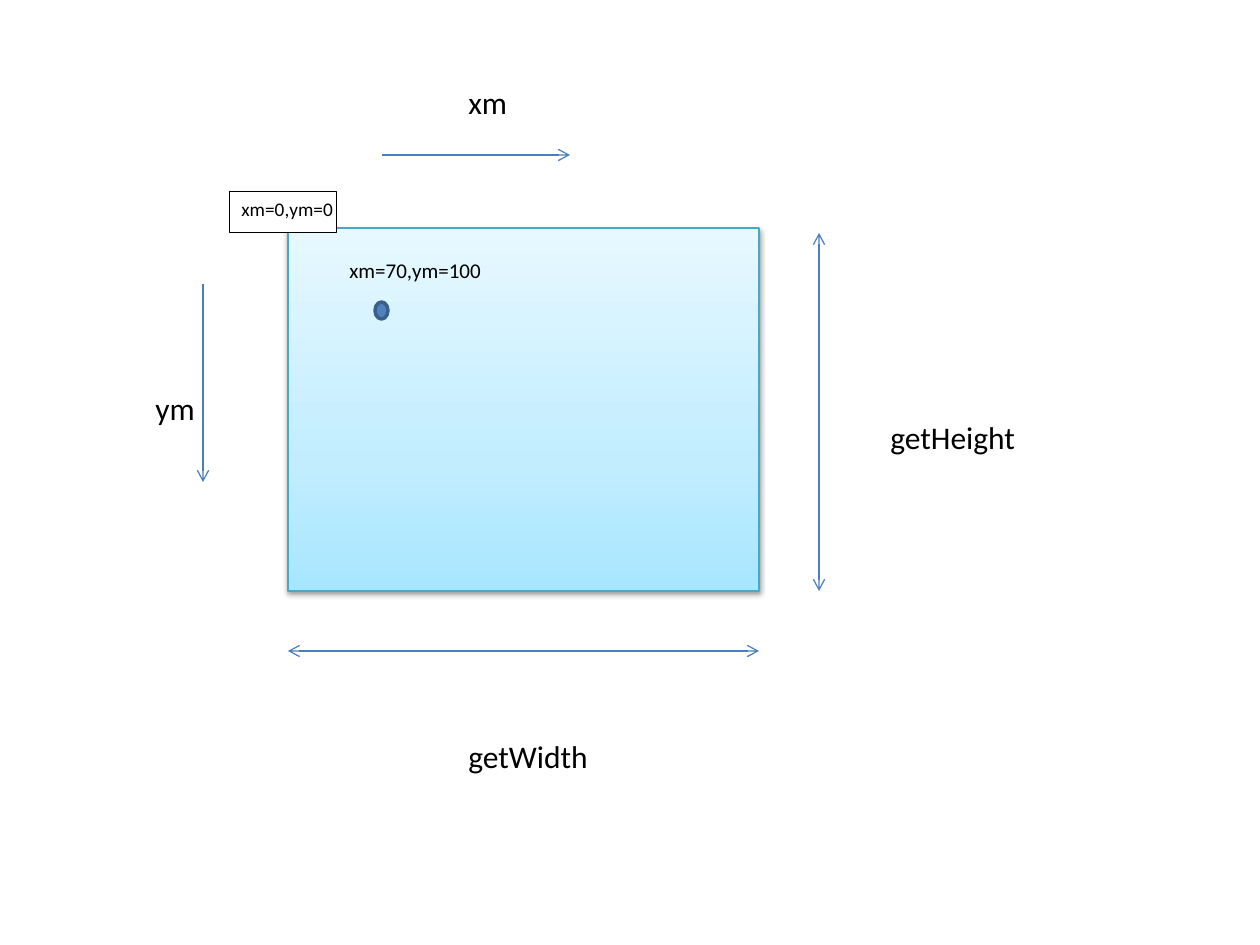
from lxml.etree import SubElement
from pptx import Presentation
from pptx.dml.color import RGBColor
from pptx.enum.shapes import MSO_CONNECTOR, MSO_SHAPE
from pptx.enum.text import MSO_ANCHOR, MSO_AUTO_SIZE, PP_ALIGN
from pptx.oxml.ns import qn
from pptx.util import Emu, Pt

PX_PER_INCH = 126
FONT = "Calibri"
COLORS = {
    "canvas_bottom": "A7E6FF",
    "canvas_middle": "C1EDFF",
    "canvas_top": "E7F8FF",
    "canvas_line": "46AAC5",
    "arrow": "4B7EBC",
    "point": "4F81BD",
    "point_line": "3A5F8C",
    "white": "FFFFFF",
    "black": "000000",
}


def px(length):
    return Emu(round(length * 914400 / PX_PER_INCH))


def color(name):
    return RGBColor.from_string(COLORS[name])


def add_preset(slide, kind, box, line_color, line_width, fill_color=None):
    shape = slide.shapes.add_shape(kind, *map(px, box))
    shape.shadow.inherit = False
    shape.line.color.rgb = color(line_color)
    shape.line.width = Pt(line_width)
    if fill_color:
        shape.fill.solid()
        shape.fill.fore_color.rgb = color(fill_color)
    return shape


def write_text(shape, text, size, wrap=False):
    text_frame = shape.text_frame
    text_frame.text = text
    text_frame.word_wrap = wrap
    text_frame.vertical_anchor = MSO_ANCHOR.TOP
    paragraph = text_frame.paragraphs[0]
    paragraph.alignment = PP_ALIGN.LEFT
    font = paragraph.runs[0].font
    font.name, font.size = FONT, Pt(size)
    font.color.rgb = color("black")


def add_label(slide, box, text, size=18, wrap=False):
    label = slide.shapes.add_textbox(*map(px, box))
    write_text(label, text, size, wrap)
    label.text_frame.auto_size = MSO_AUTO_SIZE.SHAPE_TO_FIT_TEXT


def add_arrow(slide, start, end, ends=("tailEnd",)):
    arrow = slide.shapes.add_connector(
        MSO_CONNECTOR.STRAIGHT, *map(px, (*start, *end)))
    arrow.line.color.rgb = color("arrow")
    arrow.line.width = Pt(0.75)
    properties = arrow._element.spPr
    line = properties.find(qn("a:ln"))
    for end_name in ends:
        SubElement(line, qn(f"a:{end_name}"), type="arrow")
    SubElement(properties, qn("a:effectLst"))


def add_gradient(shape, stops):
    shape.fill.gradient()
    shape.fill.gradient_angle = 90
    stop_list = shape._element.spPr.find(qn("a:gradFill")).find(qn("a:gsLst"))
    for stop in list(stop_list):
        stop_list.remove(stop)
    for percent, name in stops:
        stop = SubElement(stop_list, qn("a:gs"), pos=str(percent * 1000))
        SubElement(stop, qn("a:srgbClr"), val=COLORS[name])


def add_shadow(shape):
    effects = shape._element.spPr.find(qn("a:effectLst"))
    shadow = SubElement(effects, qn("a:outerShdw"), blurRad=str(Pt(3.1)),
                        dist=str(Pt(1.6)), dir="5400000", rotWithShape="0")
    shade = SubElement(shadow, qn("a:srgbClr"), val=COLORS["black"])
    SubElement(shade, qn("a:alpha"), val="38000")


def add_canvas(slide, box):
    """Gradient drawing area with its origin tag."""
    left, top, width, height = box
    canvas = add_preset(slide, MSO_SHAPE.RECTANGLE, box, "canvas_line", 0.75)
    add_gradient(canvas, [(0, "canvas_bottom"), (35, "canvas_middle"),
                          (100, "canvas_top")])
    add_shadow(canvas)
    origin = add_preset(slide, MSO_SHAPE.RECTANGLE,
                        (left - 59, top - 37, 108, 41), "black", 0.5, "white")
    write_text(origin, "xm=0,ym=0", 11)


def add_axes(slide, box):
    """Direction arrows and labels above and left of the canvas."""
    left, top, width, height = box
    add_arrow(slide, (left + 94, top - 73), (left + 282, top - 73))
    add_arrow(slide, (left - 85, top + 56), (left - 85, top + 254))
    add_label(slide, (left + 168, top - 151, 64, 51), "xm")
    add_label(slide, (left - 145, top + 155, 65, 51), "ym")


def add_dimensions(slide, box):
    """Double arrows and labels below and right of the canvas."""
    left, top, width, height = box
    right, bottom = left + width, top + height
    both = ("headEnd", "tailEnd")
    add_arrow(slide, (left, bottom + 60), (right, bottom + 60), both)
    add_arrow(slide, (right + 60, top + 5), (right + 60, bottom), both)
    add_label(slide, (left + 168, bottom + 140, 146, 51), "getWidth")
    add_label(slide, (right + 119, top + 184, 151, 51), "getHeight")


def add_point(slide, box):
    """Sample point inside the canvas with its coordinates."""
    left, top, width, height = box
    add_preset(slide, MSO_SHAPE.OVAL, (left + 87, top + 74, 13, 17),
               "point_line", 2, "point")
    add_label(slide, (left + 49, top + 23, 183, 38), "xm=70,ym=100", 12, True)


def main():
    presentation = Presentation()
    presentation.slide_width, presentation.slide_height = px(1260), px(945)
    slide = presentation.slides.add_slide(presentation.slide_layouts[6])
    canvas_box = (288, 228, 471, 363)
    for add_region in (add_canvas, add_axes, add_dimensions, add_point):
        add_region(slide, canvas_box)
    presentation.save("out.pptx")


if __name__ == "__main__":
    main()
